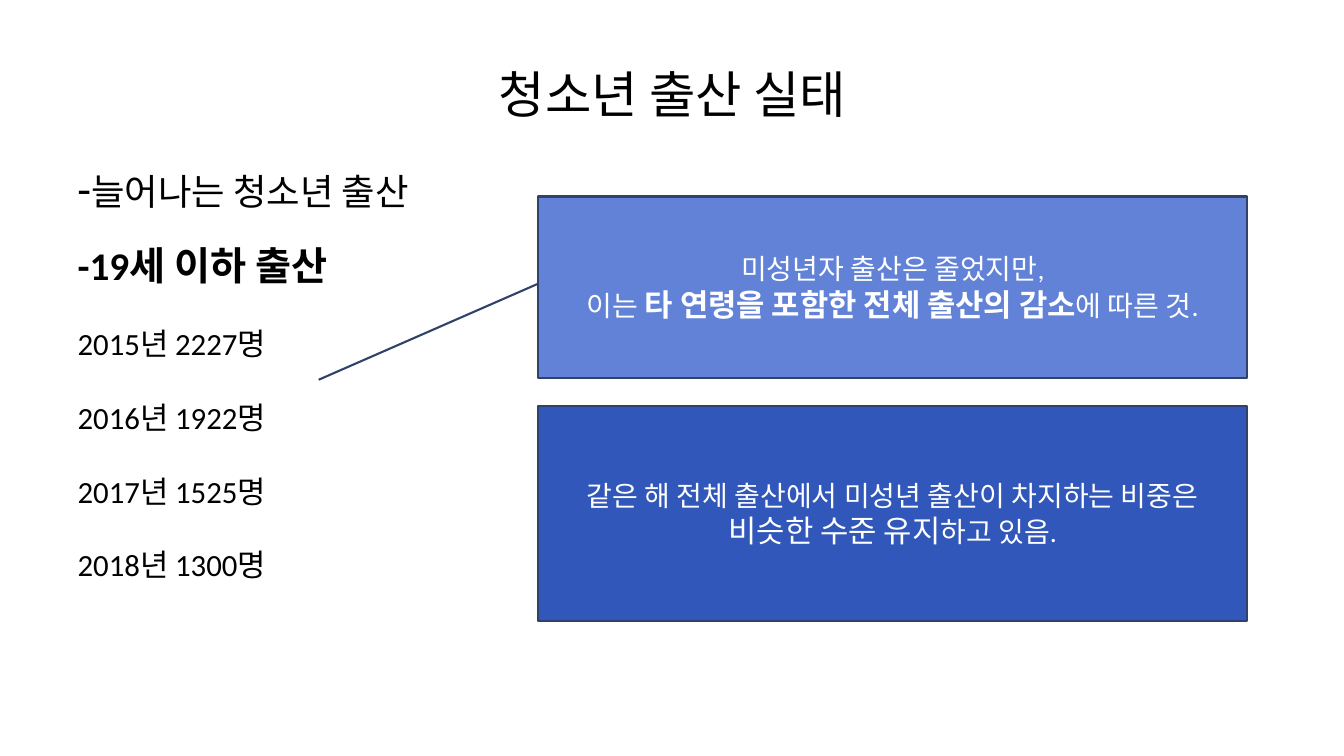
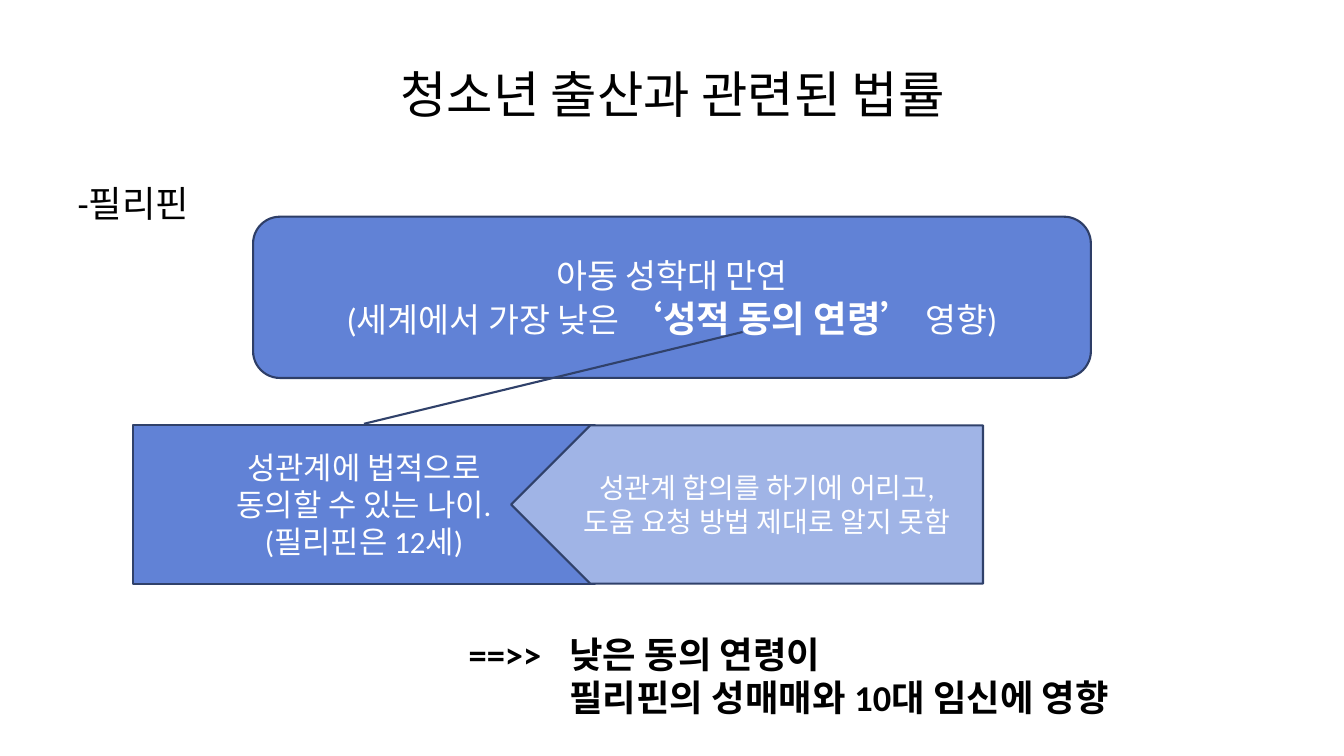
import pptx
import pptx.util
import pptx.dml.color
import pptx.enum.shapes
import pptx.enum.text
import pptx.oxml
import pptx.oxml.ns

PX = 9144
FONT = "Calibri"
COLORS = {
    "ink": "000000",
    "white": "FFFFFF",
    "pale": "A0B4E6",
    "mid": "6182D6",
    "deep": "3057B9",
    "edge": "30416A",
    "rim": "2E3E67",
}
KIND = pptx.enum.shapes.MSO_SHAPE
ALIGN = pptx.enum.text.PP_ALIGN
ANCHOR = pptx.enum.text.MSO_ANCHOR


def color(name):
    return pptx.dml.color.RGBColor.from_string(COLORS[name])


def place(shape, box):
    shape.left, shape.top, shape.width, shape.height = [n * PX for n in box]


def add_mark(para, tag, **attrs):
    mark = pptx.oxml.parse_xml(f"<a:{tag} {pptx.oxml.ns.nsdecls('a')}/>")
    for key, value in attrs.items():
        mark.set(key, value)
    para._p.get_or_add_pPr().append(mark)
    return mark


def set_tab(para, stop):
    tabs = add_mark(para, "tabLst")
    tab = pptx.oxml.parse_xml(f"<a:tab {pptx.oxml.ns.nsdecls('a')}/>")
    tab.set("pos", str(stop * PX))
    tab.set("algn", "l")
    tabs.append(tab)


def write(shape, lines, ink="ink", align=ALIGN.LEFT, anchor=ANCHOR.TOP,
          gap=0, plain=False, stop=None):
    frame = shape.text_frame
    frame.word_wrap = True
    frame.auto_size = pptx.enum.text.MSO_AUTO_SIZE.NONE
    frame.vertical_anchor = anchor
    for index, line in enumerate(lines):
        para = frame.add_paragraph() if index else frame.paragraphs[0]
        if plain:
            props = para._p.get_or_add_pPr()
            props.set("marL", "0")
            props.set("indent", "0")
            add_mark(para, "buNone")
        if stop:
            set_tab(para, stop)
        para.alignment = align
        para.space_before = pptx.util.Pt(gap if index else 0)
        for text, size, bold in line:
            run = para.add_run()
            run.text = text
            run.font.name = FONT
            run.font.size = pptx.util.Pt(size)
            run.font.bold = bold
            run.font.color.rgb = color(ink)


def add_page(deck, title, box, lines, gap=0):
    slide = deck.slides.add_slide(deck.slide_layouts[1])
    place(slide.shapes.title, (67, 30, 1200, 125))
    write(slide.shapes.title, [[(title, 36, False)]],
          align=ALIGN.CENTER, anchor=ANCHOR.MIDDLE)
    body = slide.placeholders[1]
    place(body, box)
    write(body, lines, gap=gap, plain=True)
    return slide


def add_note(slide, box, lines, stop=None):
    note = slide.shapes.add_textbox(*[n * PX for n in box])
    write(note, lines, stop=stop)


def add_panel(slide, kind, box, fill, lines, edge="edge", points=()):
    panel = slide.shapes.add_shape(kind, *[n * PX for n in box])
    panel.shadow.inherit = False
    panel.fill.solid()
    panel.fill.fore_color.rgb = color(fill)
    panel.line.color.rgb = color(edge)
    panel.line.width = pptx.util.Pt(1.5)
    for index, value in enumerate(points):
        panel.adjustments[index] = value
    write(panel, lines, "white", ALIGN.CENTER, ANCHOR.MIDDLE)
    return panel


def add_births(deck):
    counts = {2015: 2227, 2016: 1922, 2017: 1525, 2018: 1300}
    lines = [[("-19세 이하 출산", 28, True)]]
    lines += [[(f"{year}년 {count}명", 22, False)]
              for year, count in counts.items()]
    slide = add_page(deck, "청소년 출산 실태", (67, 234, 367, 416), lines, 26.3)
    add_note(slide, (67, 155, 460, 70),
             [[("-", 32, False), ("늘어나는 청소년 출산", 26, False)]])
    add_panel(slide, KIND.LINE_CALLOUT_1, (534, 195, 703, 180), "mid", [
        [("미성년자 출산은 줄었지만,", 20, False)],
        [("이는 ", 20, False),
         ("타 연령을 포함한 전체 출산의 감소", 22, True),
         ("에 따른 것.", 20, False)],
    ], points=(0.48, 0, 1.01, -0.31))
    add_panel(slide, KIND.FLOWCHART_PROCESS, (534, 403, 703, 213), "deep", [
        [("같은 해 전체 출산에서 미성년 출산이 차지하는 비중은", 20, False)],
        [("비슷한 수준 유지", 22, False), ("하고 있음.", 20, False)],
    ])


def add_laws(deck):
    slide = add_page(deck, "청소년 출산과 관련된 법률", (67, 175, 1200, 495),
                     [[("-필리핀", 26, False)]])
    add_panel(slide, KIND.ROUNDED_RECTANGLE, (251, 215, 831, 160), "mid", [
        [("아동 성학대 만연", 24, False)],
        [("(세계에서 가장 낮은 ", 24, False),
         ("‘성적 동의 연령’", 26, True),
         (" 영향)", 24, False)],
    ], edge="rim")
    add_panel(slide, KIND.LINE_CALLOUT_1, (132, 422, 458, 157), "mid", [
        [("성관계에 법적으로", 22, False)],
        [("동의할 수 있는 나이.", 22, False)],
        [("(필리핀은 12세)", 22, False)],
    ], points=(-0.59, 1.32, -0.01, 0.5))
    arrow = add_panel(slide, KIND.PENTAGON, (507, 422, 468, 157), "pale", [
        [("성관계 합의를 하기에 어리고,", 20, False)],
        [("도움 요청 방법 제대로 알지 못함", 20, False)],
    ])
    arrow._element.spPr.find(pptx.oxml.ns.qn("a:xfrm")).set("flipH", "1")
    add_note(slide, (455, 622, 860, 96), [
        [("==>>\t낮은 동의 연령이", 26, True)],
        [("\t필리핀의 성매매와 10대 임신에 영향", 26, True)],
    ], stop=100)


def main():
    deck = pptx.Presentation()
    deck.slide_width = 1333 * PX
    deck.slide_height = 750 * PX
    add_births(deck)
    add_laws(deck)
    deck.save("out.pptx")


if __name__ == "__main__":
    main()
